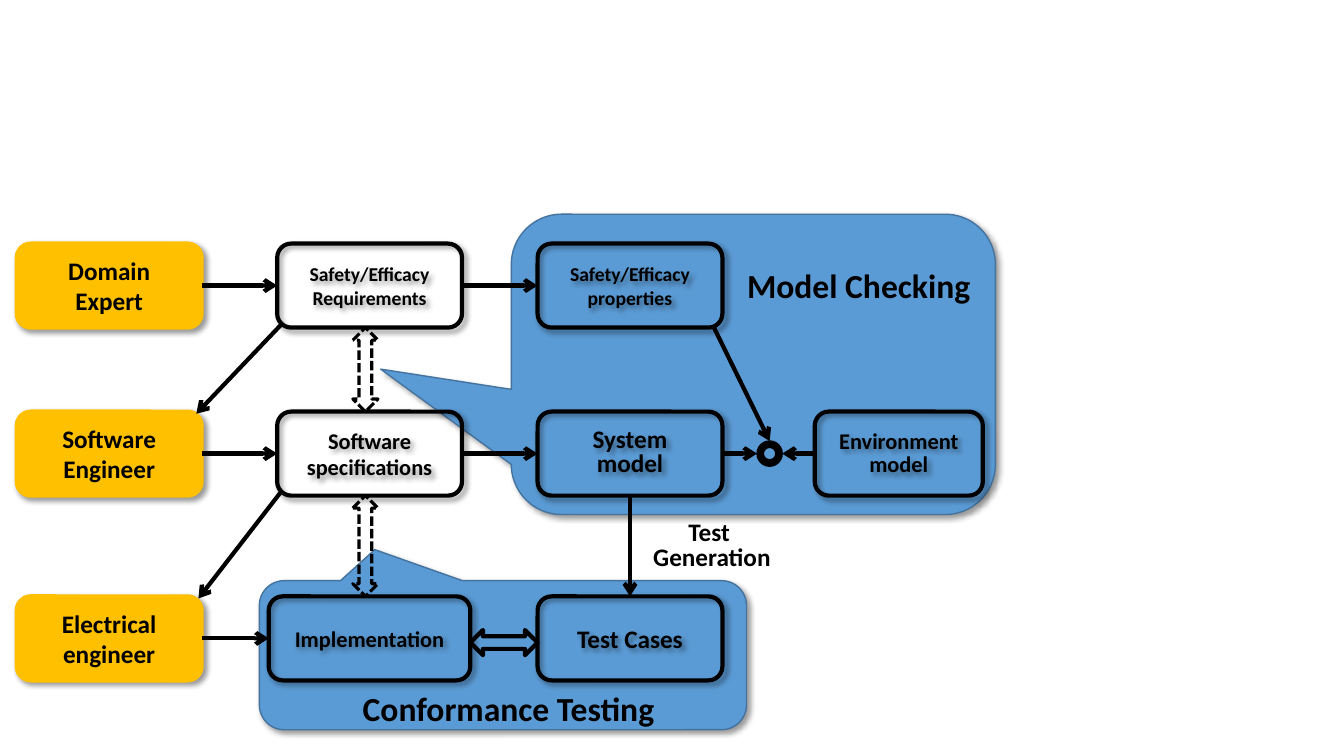
from lxml import etree
from pptx import Presentation
from pptx.dml.color import RGBColor
from pptx.enum.dml import MSO_LINE
from pptx.enum.shapes import MSO_CONNECTOR, MSO_SHAPE
from pptx.enum.text import MSO_ANCHOR, MSO_AUTO_SIZE, PP_ALIGN
from pptx.oxml import parse_xml
from pptx.oxml.ns import nsdecls, qn
from pptx.util import Pt

PX = 9525
STRAIGHT = MSO_CONNECTOR.STRAIGHT
BOX, CALLOUT = MSO_SHAPE.ROUNDED_RECTANGLE, MSO_SHAPE.ROUNDED_RECTANGULAR_CALLOUT
ACROSS, UP_DOWN, DONUT = MSO_SHAPE.LEFT_RIGHT_ARROW, MSO_SHAPE.UP_DOWN_ARROW, MSO_SHAPE.DONUT
CENTER, LEFT = PP_ALIGN.CENTER, PP_ALIGN.LEFT
MIDDLE, GROW, DASH = MSO_ANCHOR.MIDDLE, MSO_AUTO_SIZE.SHAPE_TO_FIT_TEXT, MSO_LINE.SQUARE_DOT
TOP_SIDE, LEFT_SIDE, BOTTOM_SIDE, RIGHT_SIDE = range(4)
THEME = {
    "font": "Calibri",
    "black": RGBColor(0x00, 0x00, 0x00),
    "gold": RGBColor(0xFF, 0xC0, 0x00),
    "blue": RGBColor(0x5B, 0x9B, 0xD5),
    "blue edge": RGBColor(0x43, 0x73, 0x9E),
    "heading": 24, "large": 18, "medium": 16, "small": 14,
}
SHADOW = (f'<a:outerShdw {nsdecls("a")} blurRad="50800" dist="38100" dir="2700000" '
          'algn="tl" rotWithShape="0"><a:srgbClr val="000000">'
          '<a:alpha val="40000"/></a:srgbClr></a:outerShdw>')


def add_figure(kind, bounds, fill, edge, weight, shadow=False):
    figure = slide.shapes.add_shape(kind, *[value * PX for value in bounds])
    if fill:
        figure.fill.solid()
        figure.fill.fore_color.rgb = THEME[fill]
    else:
        figure.fill.background()
    figure.line.color.rgb = THEME[edge]
    figure.line.width = Pt(weight)
    figure.shadow.inherit = False
    if shadow:
        figure._element.spPr.find(qn("a:effectLst")).append(parse_xml(SHADOW))
    return figure


def write_text(frame, lines, size, align=CENTER, spacing=None):
    for index, line in enumerate(lines):
        para = frame.paragraphs[0] if index == 0 else frame.add_paragraph()
        para.alignment = align
        if spacing:
            para.line_spacing = Pt(spacing)
        span = para.add_run()
        span.text = line
        span.font.name = THEME["font"]
        span.font.size = Pt(THEME[size])
        span.font.bold = True
        span.font.color.rgb = THEME["black"]


deck = Presentation()
deck.slide_width, deck.slide_height = 1280 * PX, 720 * PX
slide = deck.slides.add_slide(deck.slide_layouts[6])

# Callouts behind the two testing activities
callouts = [
    ((247, 553, 464, 142), (-0.263, -0.708, 0.167)),
    ((487, 204, 461, 286), (-0.77, 0.016, 0.167)),
]
for bounds, adjustments in callouts:
    callout = add_figure(CALLOUT, bounds, "blue", "blue edge", 1, shadow=True)
    for index, value in enumerate(adjustments):
        callout.adjustments[index] = value

# Boxes: key, left, row, width, lines, size, line spacing
ROW_TOPS, BOX_HEIGHT = (232, 392, 568), 80
boxes = [
    ("domain", 16, 0, 176, ["Domain", "Expert"], "large", None),
    ("software", 16, 1, 176, ["Software Engineer"], "large", None),
    ("electrical", 16, 2, 176, ["Electrical", "engineer"], "large", None),
    ("requirements", 264, 0, 176, ["Safety/Efficacy", "Requirements"], "small", None),
    ("specifications", 264, 1, 176, ["Software specifications"], "medium", None),
    ("implementation", 256, 2, 192, ["Implementation"], "medium", None),
    ("properties", 512, 0, 176, ["Safety/Efficacy properties"], "small", None),
    ("system", 512, 1, 176, ["System", "model"], "large", 17),
    ("tests", 512, 2, 176, ["Test Cases"], "large", None),
    ("environment", 776, 1, 160, ["Environment", "model"], "medium", 17),
]
placed = {}
for key, left, row, width, lines, size, spacing in boxes:
    is_person = left == 16
    fill, edge = ("gold", "gold") if is_person else (None, "black")
    box = add_figure(BOX, (left, ROW_TOPS[row], width, BOX_HEIGHT), fill, edge, 3, shadow=True)
    box.text_frame.word_wrap = True
    box.text_frame.vertical_anchor = MIDDLE
    write_text(box.text_frame, lines, size, spacing=spacing)
    placed[key] = box

# Free-standing labels
labels = [
    ((612, 492, 132, 59), ["Test ", "Generation"], "large", CENTER, 18),
    ((702, 248, 234, 48), ["Model Checking"], "heading", LEFT, None),
    ((336, 650, 300, 48), ["Conformance Testing"], "heading", LEFT, None),
]
for bounds, lines, size, align, spacing in labels:
    label = slide.shapes.add_textbox(*[value * PX for value in bounds])
    label.text_frame.word_wrap = False
    label.text_frame.auto_size = GROW
    write_text(label.text_frame, lines, size, align, spacing)

# Two-way arrows and the composition node
add_figure(ACROSS, (448, 600, 64, 24), None, "black", 3)
for top, height in ((312, 80), (472, 96)):
    arrow = add_figure(UP_DOWN, (336, top, 24, height), None, "black", 2.25)
    arrow.line.dash_style = DASH
add_figure(DONUT, (721, 420, 24, 24), "black", "black", 1)

# Flow arrows: an end is either a box side or a point
flows = [
    (("domain", RIGHT_SIDE), ("requirements", LEFT_SIDE)),
    ((268, 309), (187, 394)),
    (("software", RIGHT_SIDE), ("specifications", LEFT_SIDE)),
    ((268, 468), (189, 570)),
    (("electrical", RIGHT_SIDE), ("implementation", LEFT_SIDE)),
    (("requirements", RIGHT_SIDE), ("properties", LEFT_SIDE)),
    (("specifications", RIGHT_SIDE), ("system", LEFT_SIDE)),
    (("system", BOTTOM_SIDE), ("tests", TOP_SIDE)),
    (("system", RIGHT_SIDE), (721, 432)),
    (("environment", LEFT_SIDE), (745, 432)),
    ((680, 312), (733, 420)),
]
for start, end in flows:
    points = [(0, 0) if place[0] in placed else place for place in (start, end)]
    flow = slide.shapes.add_connector(
        STRAIGHT, *[value * PX for point in points for value in point])
    if start[0] in placed:
        flow.begin_connect(placed[start[0]], start[1])
    if end[0] in placed:
        flow.end_connect(placed[end[0]], end[1])
    flow.line.color.rgb = THEME["black"]
    flow.line.width = Pt(3)
    properties = flow._element.spPr
    etree.SubElement(properties.find(qn("a:ln")), qn("a:tailEnd"), type="arrow")
    etree.SubElement(properties, qn("a:effectLst"))

deck.save("out.pptx")
